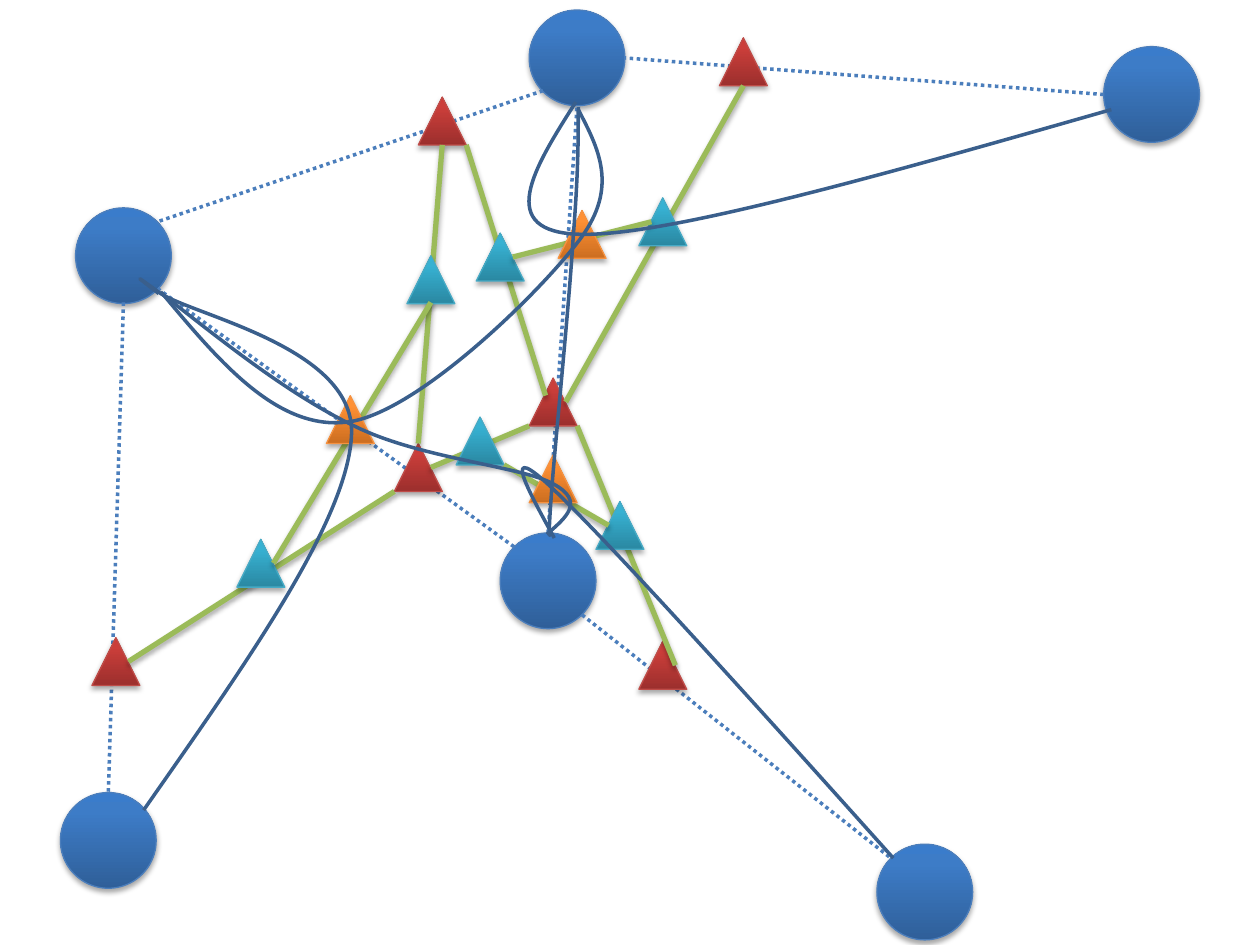
from pptx import Presentation
from pptx.dml.color import RGBColor
from pptx.enum.dml import MSO_LINE
from pptx.enum.shapes import MSO_CONNECTOR, MSO_SHAPE
from pptx.oxml import parse_xml
from pptx.oxml.ns import nsdecls, qn
from pptx.util import Inches, Pt
from lxml import etree

BALL, PEAK = MSO_SHAPE.OVAL, MSO_SHAPE.ISOSCELES_TRIANGLE
STRAIGHT = MSO_CONNECTOR.STRAIGHT
DOTS = MSO_LINE.ROUND_DOT

# Each look: preset, size, outline, gradient from bottom to top
LOOKS = {
    "node": (BALL, 0.76, "4B7EBC", ("2F5F99", "3D7CC7", "3A7CCB")),
    "red": (PEAK, 0.38, "BF4C48", ("9C2F2D", "CB3E3A", "CE3B37")),
    "teal": (PEAK, 0.38, "46AAC5", ("2A88A2", "37B1D2", "34B4D6")),
    "orange": (PEAK, 0.38, "F69240", ("CC6E20", "FF9034", "FF9136")),
}
STROKES = {
    "edge": {"color": "4B7EBC", "width": Pt(2), "dash_style": DOTS},
    "link": {"color": "9BBB59", "width": Pt(3)},
    "curve": {"color": "3A5F8C", "width": Pt(2)},
}


def rgb(code):
    return RGBColor.from_string(code)


def bezier(a, b, c, d, t):
    s = 1 - t
    return tuple(s**3 * p + 3 * s * s * t * q + 3 * s * t * t * r + t**3 * e
                 for p, q, r, e in zip(a, b, c, d))


class Board:
    def __init__(self, slide):
        self.shapes = slide.shapes

    def stroke(self, line, style):
        for name, value in style.items():
            if name == "color":
                line.color.rgb = rgb(value)
            else:
                setattr(line, name, value)

    def shade(self, shape):
        shape._element.spPr.append(parse_xml(
            f'<a:effectLst {nsdecls("a")}><a:outerShdw blurRad="{Pt(3.1)}" '
            f'dist="{Pt(1.8)}" dir="5400000" rotWithShape="0">'
            '<a:srgbClr val="000000"><a:alpha val="35000"/></a:srgbClr>'
            '</a:outerShdw></a:effectLst>'))

    def mark(self, look, x, y):
        kind, size, edge, tones = LOOKS[look]
        shape = self.shapes.add_shape(
            kind, Inches(x), Inches(y), Inches(size), Inches(size))
        shape.fill.background()
        stops = "".join(
            f'<a:gs pos="{pos}"><a:srgbClr val="{tone}"/></a:gs>'
            for pos, tone in zip((0, 80000, 100000), tones))
        props = shape._element.spPr
        props.replace(props.find(qn("a:noFill")), parse_xml(
            f'<a:gradFill {nsdecls("a")} rotWithShape="1"><a:gsLst>{stops}'
            '</a:gsLst><a:lin ang="16200000" scaled="0"/></a:gradFill>'))
        self.stroke(shape.line, {"color": edge, "width": Pt(0.75)})
        self.shade(shape)

    def line(self, kind, *ends):
        line = self.shapes.add_connector(STRAIGHT, *map(Inches, ends))
        self.stroke(line.line, STROKES[kind])
        if kind == "link":
            self.shade(line)
        else:
            etree.SubElement(line._element.spPr, qn("a:effectLst"))

    def curve(self, *points):
        points = [(Inches(x), Inches(y)) for x, y in points]
        # Sampled points give the box its true extent
        dots = [bezier(*points[i:i + 4], step / 20)
                for i in range(0, len(points) - 1, 3) for step in range(1, 21)]
        form = self.shapes.build_freeform(*points[0])
        form.add_line_segments(dots, close=False)
        shape = form.convert_to_shape()
        shape.fill.background()
        shape.shadow.inherit = False
        self.stroke(shape.line, STROKES["curve"])
        # Cubic segments take the place of the straight ones
        track = next(shape._element.iter(qn("a:path")))
        for part in track.findall(qn("a:lnTo")):
            track.remove(part)
        for i in range(1, len(points), 3):
            arc = etree.SubElement(track, qn("a:cubicBezTo"))
            for x, y in points[i:i + 3]:
                etree.SubElement(arc, qn("a:pt"), x=str(x - shape.left),
                                 y=str(y - shape.top))


deck = Presentation()
deck.slide_width, deck.slide_height = Inches(10), Inches(7.5)
board = Board(deck.slides.add_slide(deck.slide_layouts[6]))

# Network and its subdivisions, from back to front
LAYERS = [
    ("node", [(4.2, 0.08), (0.48, 6.29), (6.96, 6.7), (8.76, 0.37),
              (0.6, 1.65), (3.97, 4.23)]),
    ("edge", [(1.25, 2.29, 4.08, 4.34), (0.98, 2.4, 0.86, 6.29),
              (4.31, 0.72, 1.25, 1.76), (8.76, 0.75, 4.96, 0.46),
              (4.35, 4.23, 4.58, 0.84), (4.62, 4.88, 7.07, 6.81)]),
    ("red", [(5.07, 5.09), (4.2, 3), (3.13, 3.52), (0.73, 5.06),
             (3.32, 0.77), (5.71, 0.3)]),
    ("link", [(1.02, 5.25, 3.13, 3.9), (3.32, 3.52, 3.51, 1.15)]),
    ("teal", [(1.88, 4.28), (3.23, 2.03)]),
    ("link", [(2.17, 4.47, 3.42, 2.4)]),
    ("orange", [(2.59, 3.14)]),
    ("link", [(3.42, 3.71, 4.2, 3.38), (4.58, 3.38, 5.36, 5.28)]),
    ("teal", [(3.62, 3.31), (4.73, 3.98)]),
    ("link", [(4, 3.69, 4.83, 4.17), (4.33, 3.14, 3.7, 1.15),
              (4.49, 3.19, 5.9, 0.68)]),
    ("teal", [(5.07, 1.57), (3.78, 1.85)]),
    ("link", [(4.07, 2.04, 5.17, 1.76)]),
    ("orange", [(4.43, 1.67), (4.2, 3.61)]),
]
for kind, places in LAYERS:
    draw = board.mark if kind in LOOKS else board.line
    for place in places:
        draw(kind, *place)

# Curves: a start, then two handles and an end for each segment
CURVES = [
    [(1.14, 6.43), (1.95, 5.27), (2.77, 4.12), (2.79, 3.44),
     (2.81, 2.75), (1.51, 2.5), (1.26, 2.32),
     (1, 2.13), (1.13, 2.23), (1.26, 2.33)],
    [(4.59, 0.87), (4.75, 1.18), (4.91, 1.48), (4.61, 1.89),
     (4.3, 2.31), (3.31, 3.28), (2.76, 3.35),
     (2.2, 3.42), (1.74, 2.87), (1.28, 2.32)],
    [(4.59, 0.85), (4.59, 1.11), (4.59, 1.38), (4.55, 1.88),
     (4.52, 2.39), (4.41, 3.49), (4.38, 3.88),
     (4.35, 4.28), (4.36, 4.26), (4.37, 4.24)],
    [(4.57, 0.81), (4.24, 1.33), (3.91, 1.85), (4.62, 1.86),
     (5.32, 1.87), (7.07, 1.37), (8.82, 0.87)],
    [(7.09, 6.81), (5.97, 5.56), (4.85, 4.32), (4.4, 3.89),
     (3.96, 3.47), (4.18, 3.87), (4.4, 4.27)],
    [(1.27, 2.32), (1.78, 2.72), (2.29, 3.13), (2.81, 3.38),
     (3.33, 3.64), (4.14, 3.7), (4.39, 3.84),
     (4.65, 3.98), (4.49, 4.11), (4.34, 4.24)],
]
for points in CURVES:
    board.curve(*points)

deck.save("out.pptx")
